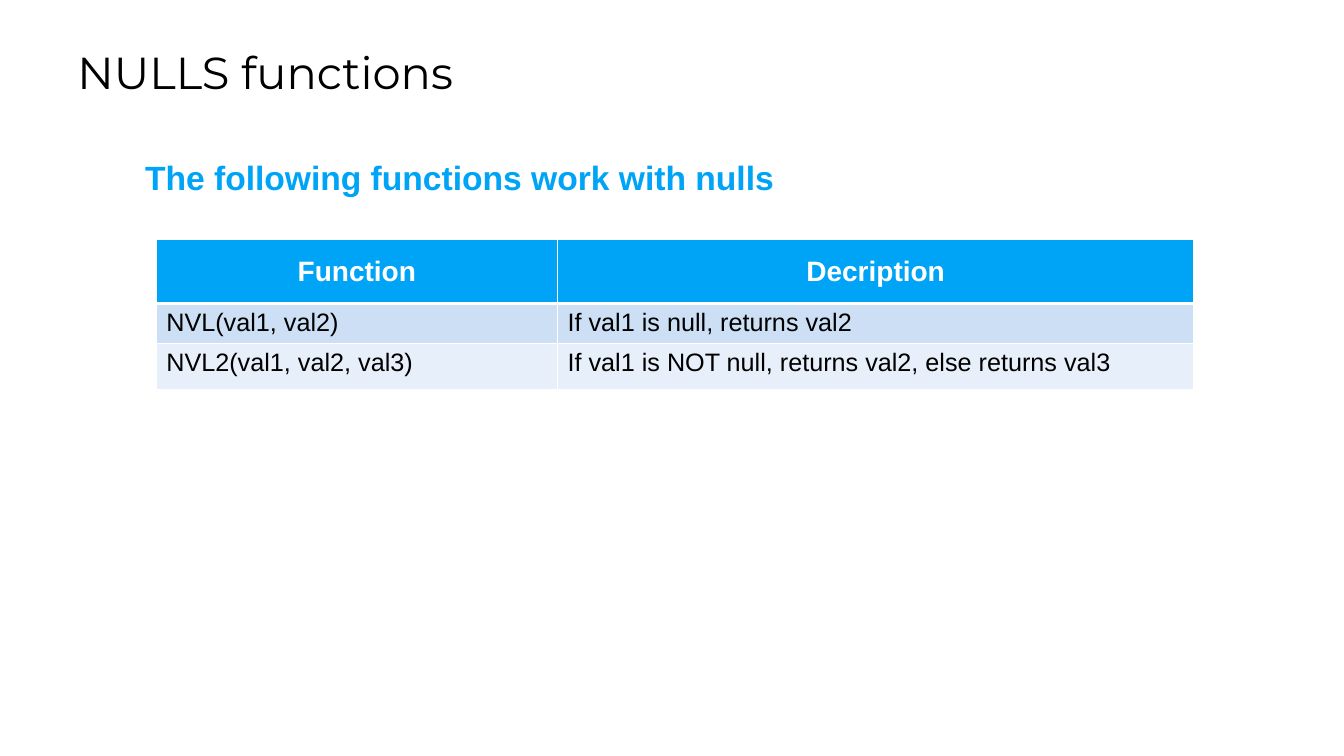
from lxml.etree import SubElement
from pptx import Presentation
from pptx.dml.color import RGBColor
from pptx.enum.text import MSO_ANCHOR, PP_ALIGN
from pptx.oxml.ns import qn
from pptx.util import Pt

EMU_PER_PX = 9144


def px(n):
    return n * EMU_PER_PX


def rgb(value):
    return RGBColor.from_string(value)


class Deck:
    accent, black, white = "00A4F6", "000000", "FFFFFF"
    bands = ("CCDFF4", "E7F0FA")
    body_font, title_font = "Arial", "Montserrat"

    def __init__(self, width, height):
        self.prs = Presentation()
        self.prs.slide_width, self.prs.slide_height = px(width), px(height)
        self.s = self.prs.slides.add_slide(self.prs.slide_layouts[6])

    def style(self, p, size, color, bold=False, font=None):
        f = p.font
        f.name, f.size, f.bold = font or self.body_font, Pt(size), bold
        f.color.rgb = rgb(color)

    def text(self, x, y, w, h, words, size, color, bold=False, font=None):
        tf = self.s.shapes.add_textbox(px(x), px(y), px(w), px(h)).text_frame
        tf.word_wrap = True
        p = tf.paragraphs[0]
        p.text = words
        self.style(p, size, color, bold, font)

    def borders(self, cell, bottom):
        tcPr = cell._tc.get_or_add_tcPr()
        for i, (side, width) in enumerate(zip("LRTB", (1, 1, 1, bottom))):
            ln = SubElement(tcPr, qn(f"a:ln{side}"), w=str(Pt(width)))
            fill = SubElement(ln, qn("a:solidFill"))
            SubElement(fill, qn("a:srgbClr"), val=self.white)
            tcPr.insert(i, ln)

    def table(self, x, y, widths, heights, rows):
        table = self.s.shapes.add_table(
            len(rows), len(widths), px(x), px(y), px(sum(widths)), px(sum(heights))
        ).table
        for column, w in zip(table.columns, widths):
            column.width = px(w)
        for i, (row, h, words) in enumerate(zip(table.rows, heights, rows)):
            row.height = px(h)
            header = i == 0
            for cell, word in zip(row.cells, words):
                cell.text = word
                p = cell.text_frame.paragraphs[0]
                cell.fill.solid()
                if header:
                    cell.fill.fore_color.rgb = rgb(self.accent)
                    cell.vertical_anchor = MSO_ANCHOR.MIDDLE
                    p.alignment = PP_ALIGN.CENTER
                    self.style(p, 20, self.white, True)
                else:
                    cell.fill.fore_color.rgb = rgb(self.bands[(i - 1) % 2])
                    self.style(p, 18, self.black)
                self.borders(cell, 3 if header else 1)


def main():
    deck = Deck(1333, 750)
    deck.text(67, 39, 1203, 64, "NULLS functions", 32, deck.black,
              font=deck.title_font)
    deck.text(134, 151, 1029, 50, "The following functions work with nulls",
              24, deck.accent, True)
    deck.table(155, 238, (398, 631), (63, 39, 45), (
        ("Function", "Decription"),
        ("NVL(val1, val2)", "If val1 is null, returns val2"),
        ("NVL2(val1, val2, val3)",
         "If val1 is NOT null, returns val2, else returns val3"),
    ))
    deck.prs.save("out.pptx")


if __name__ == "__main__":
    main()
